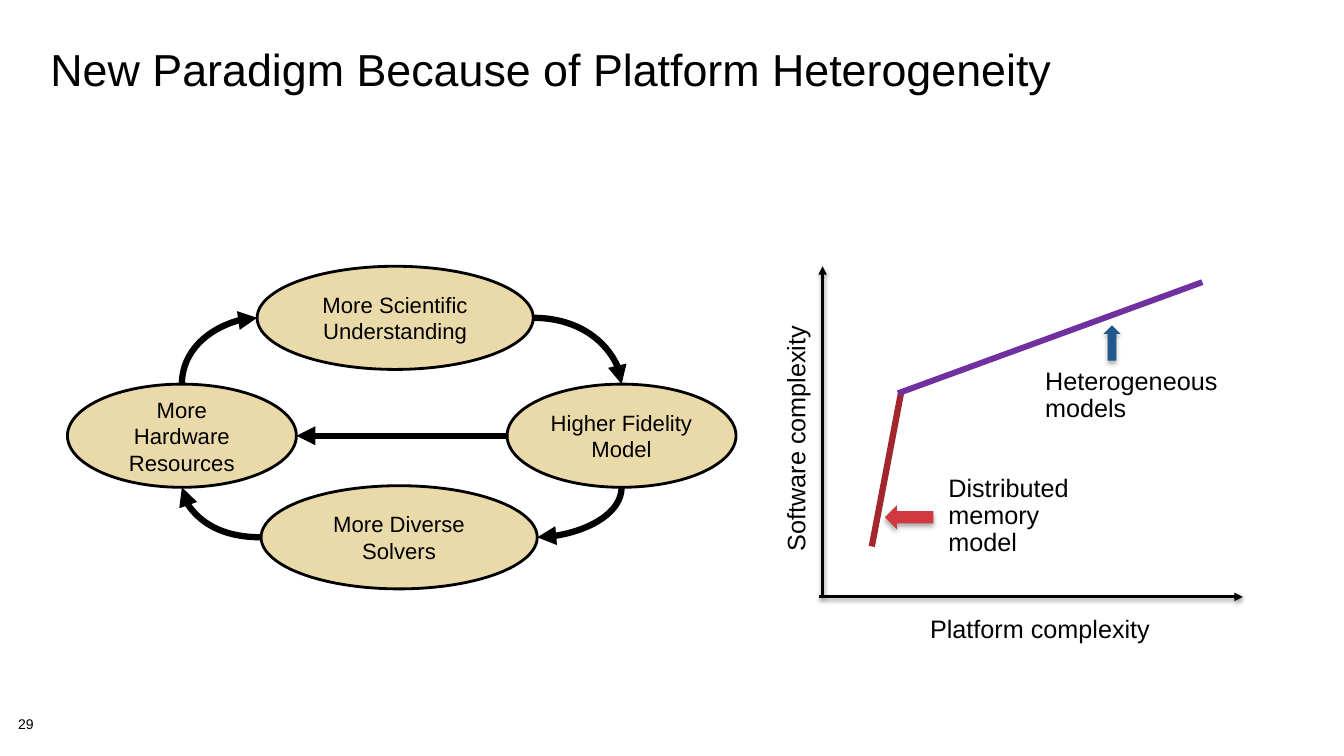
from lxml.etree import SubElement
from pptx import Presentation
from pptx.dml.color import RGBColor
from pptx.enum.shapes import MSO_CONNECTOR, MSO_SHAPE
from pptx.enum.text import MSO_ANCHOR, PP_ALIGN
from pptx.oxml.ns import qn
from pptx.util import Cm, Pt

BLACK, SAND = "000000", "EAD9A9"
TITLE = "New Paradigm Because of Platform Heterogeneity"
PAGE_NUMBER = "29"

# Lengths are centimetres: left, top, width, height
OVAL_HEIGHT = 2.6
OVALS = {
    "top": (6.48, 6.71, 6.96, ["More Scientific Understanding"]),
    "right": (12.78, 9.68, 5.77, ["Higher Fidelity", "Model"]),
    "bottom": (6.58, 12.24, 6.96, ["More Diverse", "Solvers"]),
    "left": (1.7, 9.68, 5.77, ["More Hardware", "Resources"]),
}
# Each curve leaves the first oval sideways and meets the second vertically
CURVES = [
    (("top", "right"), ("right", "top"), "tailEnd"),
    (("bottom", "right"), ("right", "bottom"), "headEnd"),
    (("bottom", "left"), ("left", "bottom"), "tailEnd"),
    (("top", "left"), ("left", "top"), "headEnd"),
]
AXES = [((20.65, 15.04), (31.32, 15.04)), ((20.73, 15.04), (20.73, 6.71))]
TRENDS = [
    ((21.97, 13.77), (22.71, 9.88), "A2262B", 4.5),
    ((22.63, 9.91), (30.3, 7.11), "7030A0", 4.25),
]
LABELS = [
    ((23.11, 15.29, 6.25, 1.19), ["Platform complexity"], 0),
    ((16.89, 10.41, 6.4, 1.22), ["Software complexity"], 270),
    ((23.57, 11.71, 3.91, 2.59), ["Distributed", "memory", "model"], 0),
    ((26.01, 9.02, 5.05, 1.91), ["Heterogeneous", "models"], 0),
]
POINTERS = [
    (MSO_SHAPE.LEFT_ARROW, (22.3, 12.73, 1.22, 0.61), "D13940"),
    (MSO_SHAPE.UP_ARROW, (27.81, 8.2, 0.43, 0.89), "20588C"),
]

deck = Presentation()
deck.slide_width, deck.slide_height = Cm(33.87), Cm(19.05)
page = deck.slides.add_slide(deck.slide_layouts[6])


def paint(color_format, color):
    color_format.rgb = RGBColor.from_string(color)


def write(shape, lines, size, spacing=1.0, align=PP_ALIGN.LEFT):
    frame = shape.text_frame
    frame.text = "\n".join(lines)
    for para in frame.paragraphs:
        para.line_spacing = spacing
        para.alignment = align
        for span in para.runs:
            span.font.name = "Arial"
            span.font.size = Pt(size)
            paint(span.font.color, BLACK)


def add_text(place, lines, size, spacing, insets, anchor, wrap):
    box = page.shapes.add_textbox(*map(Cm, place))
    frame = box.text_frame
    frame.word_wrap = wrap
    frame.vertical_anchor = anchor
    frame.margin_left = frame.margin_right = Cm(insets[0])
    frame.margin_top = frame.margin_bottom = Cm(insets[1])
    write(box, lines, size, spacing)
    return box


def add_shadow(effects, opacity, blur, distance):
    """Put a soft black shadow straight below the shape."""
    shadow = SubElement(effects, qn("a:outerShdw"), blurRad=str(Pt(blur)),
                        dist=str(Pt(distance)), dir="5400000", rotWithShape="0")
    color = SubElement(shadow, qn("a:srgbClr"), val=BLACK)
    SubElement(color, qn("a:alpha"), val=str(opacity * 1000))


def add_line(start, end, color, width, arrow=None, kind=MSO_CONNECTOR.STRAIGHT):
    """Draw a line and return it with its effect list."""
    line = page.shapes.add_connector(kind, *map(Cm, start + end))
    paint(line.line.color, color)
    line.line.width = Pt(width)
    properties = line._element.spPr
    if arrow:
        SubElement(properties.find(qn("a:ln")), qn(f"a:{arrow}"), type="triangle")
    return line, SubElement(properties, qn("a:effectLst"))


def side_middle(name, side):
    left, top, width, _ = OVALS[name]
    across = {"left": 0, "right": 1}.get(side, 0.5)
    down = {"top": 0, "bottom": 1}.get(side, 0.5)
    return left + across * width, top + down * OVAL_HEIGHT


add_text((0.46, 18.08, 1.42, 0.41), [PAGE_NUMBER], 10, 0.9, (0, 0), MSO_ANCHOR.TOP, True)

for left, top, width, lines in OVALS.values():
    oval = page.shapes.add_shape(MSO_SHAPE.OVAL, *map(Cm, (left, top, width, OVAL_HEIGHT)))
    oval.shadow.inherit = False
    oval.fill.solid()
    paint(oval.fill.fore_color, SAND)
    paint(oval.line.color, BLACK)
    oval.line.width = Pt(2)
    oval.text_frame.vertical_anchor = MSO_ANCHOR.MIDDLE
    write(oval, lines, 15.8, align=PP_ALIGN.CENTER)

for start, end, arrow in CURVES:
    curve, _ = add_line(side_middle(*start), side_middle(*end), BLACK, 4.5, arrow,
                        MSO_CONNECTOR.CURVE)
    curve._element.spPr.find(qn("a:prstGeom")).set("prst", "curvedConnector2")
add_line(side_middle("right", "left"), side_middle("left", "right"), BLACK, 4.5, "tailEnd")

for start, end in AXES:
    _, effects = add_line(start, end, BLACK, 2, "tailEnd")
    add_shadow(effects, 38, 3.1, 1.6)
for start, end, color, width in TRENDS:
    add_line(start, end, color, width)

for place, lines, rotation in LABELS:
    label = add_text(place, lines, 18, 0.9, (0.33, 0.25), MSO_ANCHOR.MIDDLE, False)
    label.rotation = rotation

for shape_type, place, color in POINTERS:
    pointer = page.shapes.add_shape(shape_type, *map(Cm, place))
    pointer.fill.solid()
    paint(pointer.fill.fore_color, color)
    pointer.line.fill.background()
    pointer.shadow.inherit = False
    add_shadow(pointer._element.spPr.find(qn("a:effectLst")), 32, 3.5, 2.2)

add_text((1.02, 1.14, 31.6, 2.54), [TITLE], 32, 0.85, (0.25, 0.13), MSO_ANCHOR.TOP, True)

deck.save("out.pptx")
